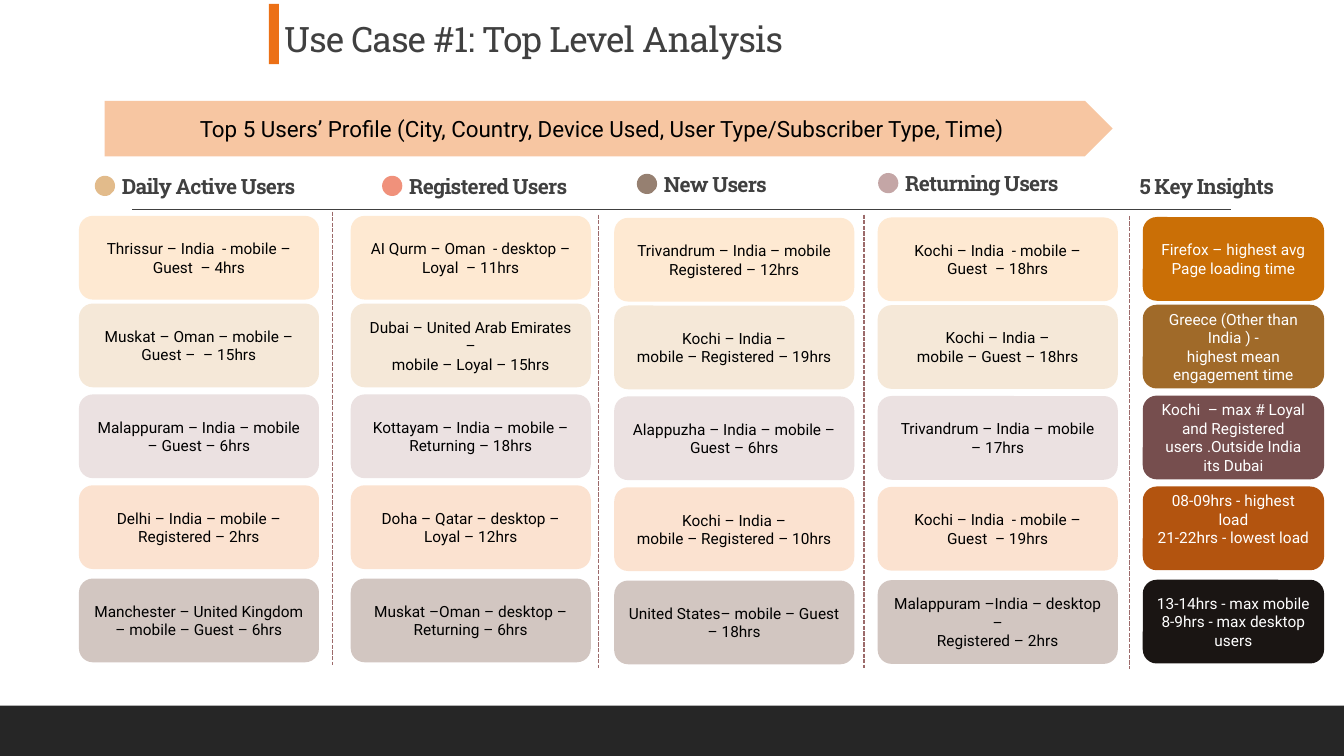
"""Build the slide with the top five user profiles and key insights."""
from dataclasses import dataclass
from typing import Optional

import pptx
import pptx.dml.color
import pptx.enum.dml
import pptx.enum.shapes
import pptx.enum.text
import pptx.oxml.ns
import pptx.oxml.xmlchemy
import pptx.util
from lxml import etree

Cm = pptx.util.Cm
Pt = pptx.util.Pt
RGBColor = pptx.dml.color.RGBColor
MSO_SHAPE = pptx.enum.shapes.MSO_SHAPE
MSO_ANCHOR = pptx.enum.text.MSO_ANCHOR
PP_ALIGN = pptx.enum.text.PP_ALIGN
qn = pptx.oxml.ns.qn

BLACK = RGBColor(0x00, 0x00, 0x00)
WHITE = RGBColor(0xFF, 0xFF, 0xFF)
FOOTER = RGBColor(0x26, 0x26, 0x26)
GREY = RGBColor(0x40, 0x40, 0x40)
ORANGE = RGBColor(0xEC, 0x70, 0x16)
PEACH = RGBColor(0xF7, 0xC6, 0xA2)
DIVIDER = RGBColor(0x9C, 0x6A, 0x6A)
SAND = RGBColor(0xE2, 0xBB, 0x8B)
CORAL = RGBColor(0xF0, 0x91, 0x7B)
TAUPE = RGBColor(0x96, 0x80, 0x71)
MAUVE = RGBColor(0xC4, 0xA6, 0xA6)
PROFILE_FILLS = (
    RGBColor(0xFE, 0xE9, 0xD2), RGBColor(0xF5, 0xE8, 0xD8), RGBColor(0xEB, 0xE1, 0xE1),
    RGBColor(0xFB, 0xE2, 0xD0), RGBColor(0xD2, 0xC6, 0xC1),
)
INSIGHT_FILLS = (
    RGBColor(0xCA, 0x6F, 0x06), RGBColor(0xA0, 0x6A, 0x29), RGBColor(0x76, 0x4E, 0x4E),
    RGBColor(0xB3, 0x54, 0x0F), RGBColor(0x1A, 0x15, 0x13),
)
ROW_TOPS = (5.46, 7.67, 9.96, 12.25, 14.6)
CARD_HEIGHT = 2.11
DIVIDER_HEIGHT = 11.43


@dataclass(frozen=True)
class Column:
    """A heading and its five cards, with lengths in centimetres."""
    heading: str
    heading_left: float
    heading_top: float
    dot: Optional[RGBColor]
    left: float
    shift: float
    cards: tuple[str, ...]
    width: float = 6.05
    fills: tuple[RGBColor, ...] = PROFILE_FILLS
    ink: RGBColor = BLACK


@dataclass(frozen=True)
class Divider:
    """A dashed vertical line between two columns."""
    x: float
    top: float


COLUMNS = (
    Column("Daily Active Users", 2.82, 4.24, SAND, 1.99, -0.02, (
        "Thrissur – India  - mobile –\nGuest  – 4hrs",
        "Muskat – Oman – mobile –\nGuest –  – 15hrs",
        "Malappuram – India – mobile – Guest – 6hrs",
        "Delhi – India – mobile –\nRegistered – 2hrs",
        "Manchester – United Kingdom – mobile – Guest – 6hrs")),
    Column("Registered Users", 10.06, 4.24, CORAL, 8.84, -0.02, (
        "AI Qurm – Oman  - desktop –\nLoyal  – 11hrs",
        "Dubai – United Arab Emirates –\nmobile – Loyal – 15hrs",
        "Kottayam – India – mobile –\nReturning – 18hrs",
        "Doha – Qatar – desktop –\nLoyal – 12hrs",
        "Muskat –Oman – desktop –\nReturning – 6hrs")),
    Column("New Users", 16.48, 4.19, TAUPE, 15.48, 0.03, (
        "Trivandrum – India – mobile\nRegistered – 12hrs",
        "Kochi – India –\nmobile – Registered – 19hrs",
        "Alappuzha – India – mobile – Guest – 6hrs",
        "Kochi – India –\nmobile – Registered – 10hrs",
        "United States– mobile – Guest – 18hrs")),
    Column("Returning Users", 22.56, 4.17, MAUVE, 22.12, 0.02, (
        "Kochi – India  - mobile –\nGuest  – 18hrs",
        "Kochi – India –\nmobile – Guest – 18hrs",
        "Trivandrum – India – mobile\n– 17hrs",
        "Kochi – India  - mobile –\nGuest  – 19hrs",
        "Malappuram –India – desktop –\nRegistered – 2hrs")),
    Column("5 Key Insights", 28.47, 4.24, None, 28.8, 0.01, (
        "Firefox – highest avg Page loading time",
        "Greece (Other than India ) -\nhighest mean engagement time",
        "Kochi  – max # Loyal and Registered users .Outside India its Dubai",
        "08-09hrs - highest load\n21-22hrs - lowest load",
        "13-14hrs - max mobile\n8-9hrs - max desktop users"),
        4.57, INSIGHT_FILLS, WHITE),
)
DIVIDERS = (Divider(8.38, 5.33), Divider(15.09, 5.41), Divider(21.77, 5.41), Divider(28.47, 5.44))


def add_block(s, kind, left: float, top: float, width: float, height: float, fill: RGBColor):
    """Add a flat filled shape without an outline."""
    sp = s.shapes.add_shape(kind, Cm(left), Cm(top), Cm(width), Cm(height))
    sp.shadow.inherit = False
    sp.fill.solid()
    sp.fill.fore_color.rgb = fill
    sp.line.fill.background()
    return sp


def set_label(sp, text: str, size: float, color: RGBColor) -> None:
    """Write centred lines inside a shape."""
    tf = sp.text_frame
    tf.word_wrap = True
    tf.vertical_anchor = MSO_ANCHOR.MIDDLE
    tf.text = text
    for p in tf.paragraphs:
        p.alignment = PP_ALIGN.CENTER
        p.font.name = "Roboto"
        p.font.size = Pt(size)
        p.font.color.rgb = color


def add_heading(s, text: str, left: float, top: float, width: float, size: float, bold: bool) -> None:
    """Add a tightly spaced slab heading."""
    tf = s.shapes.add_textbox(Cm(left), Cm(top), Cm(width), Cm(0.89)).text_frame
    tf.word_wrap = True
    tf.vertical_anchor = MSO_ANCHOR.BOTTOM
    tf.text = text
    p = tf.paragraphs[0]
    p.line_spacing = 0.9
    p.font.name = "Roboto Slab"
    p.font.size = Pt(size)
    p.font.bold = bold
    p.font.color.rgb = GREY
    p._p.pPr.find(qn("a:defRPr")).set("spc", "-50")


def add_line(s, x1: float, y1: float, x2: float, y2: float, color: RGBColor, dashed: bool = False) -> None:
    """Add a thin straight line."""
    kind = pptx.enum.shapes.MSO_CONNECTOR.STRAIGHT
    line = s.shapes.add_connector(kind, Cm(x1), Cm(y1), Cm(x2), Cm(y2))
    line.line.color.rgb = color
    line.line.width = Pt(1)
    if dashed:
        line.line.dash_style = pptx.enum.dml.MSO_LINE.SQUARE_DOT
    etree.SubElement(line._element.spPr, qn("a:effectLst"))


def add_column(s, column: Column) -> None:
    """Add a heading, its dot and its cards."""
    add_heading(s, column.heading, column.heading_left, column.heading_top, 5.05, 15, True)
    if column.dot is not None:
        add_block(s, MSO_SHAPE.FLOWCHART_CONNECTOR, column.heading_left - 0.43,
                  column.heading_top + 0.19, 0.51, 0.51, column.dot)
    for top, text, fill in zip(ROW_TOPS, column.cards, column.fills):
        sp = add_block(s, MSO_SHAPE.FLOWCHART_ALTERNATE_PROCESS, column.left,
                       top + column.shift, column.width, CARD_HEIGHT, fill)
        set_label(sp, text, 11, column.ink)
        if text.startswith("08-09hrs"):
            sp.text_frame.margin_bottom = Cm(0.59)


def main() -> None:
    """Build and save the slide."""
    prs = pptx.Presentation()
    prs.slide_width, prs.slide_height = Cm(33.87), Cm(19.05)
    s = prs.slides.add_slide(prs.slide_layouts[6])
    add_block(s, MSO_SHAPE.RECTANGLE, 0, 17.78, 33.87, 1.27, FOOTER)
    add_line(s, 3.33, 5.28, 31.01, 5.28, GREY)
    add_heading(s, "Use Case #1: Top Level Analysis", 6.91, 0.74, 26.9, 25, False)
    add_block(s, MSO_SHAPE.RECTANGLE, 6.78, 0.1, 0.25, 1.52, ORANGE)
    banner = add_block(s, MSO_SHAPE.PENTAGON, 2.64, 2.54, 25.4, 1.4, PEACH)
    set_label(banner, "Top 5 Users’ Profile (City, Country, Device Used, User Type/Subscriber Type, Time)",
              16, BLACK)
    for column in COLUMNS:
        add_column(s, column)
    for divider in DIVIDERS:
        add_line(s, divider.x, divider.top, divider.x, divider.top + DIVIDER_HEIGHT, DIVIDER, True)
    prs.save("out.pptx")


if __name__ == "__main__":
    main()
